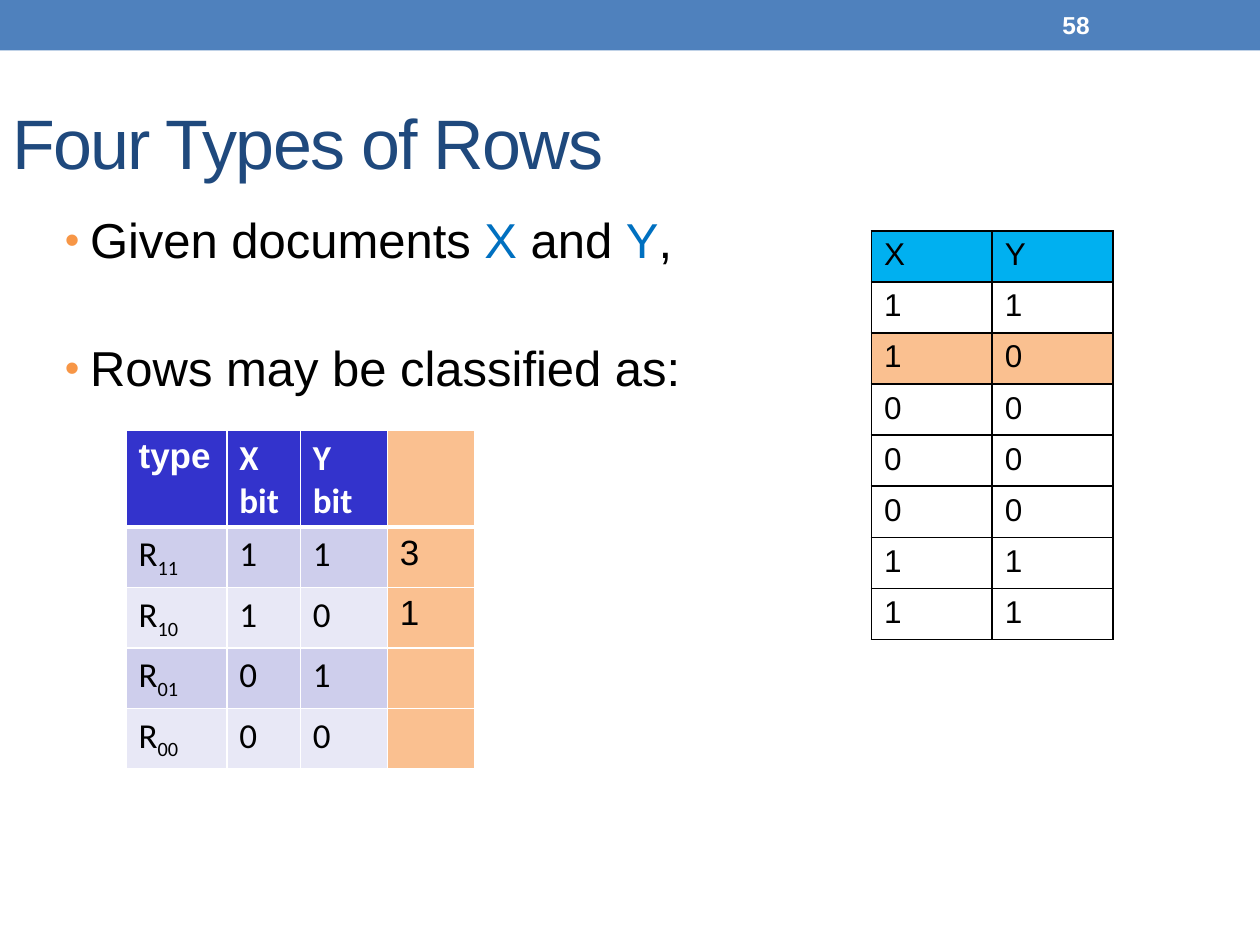
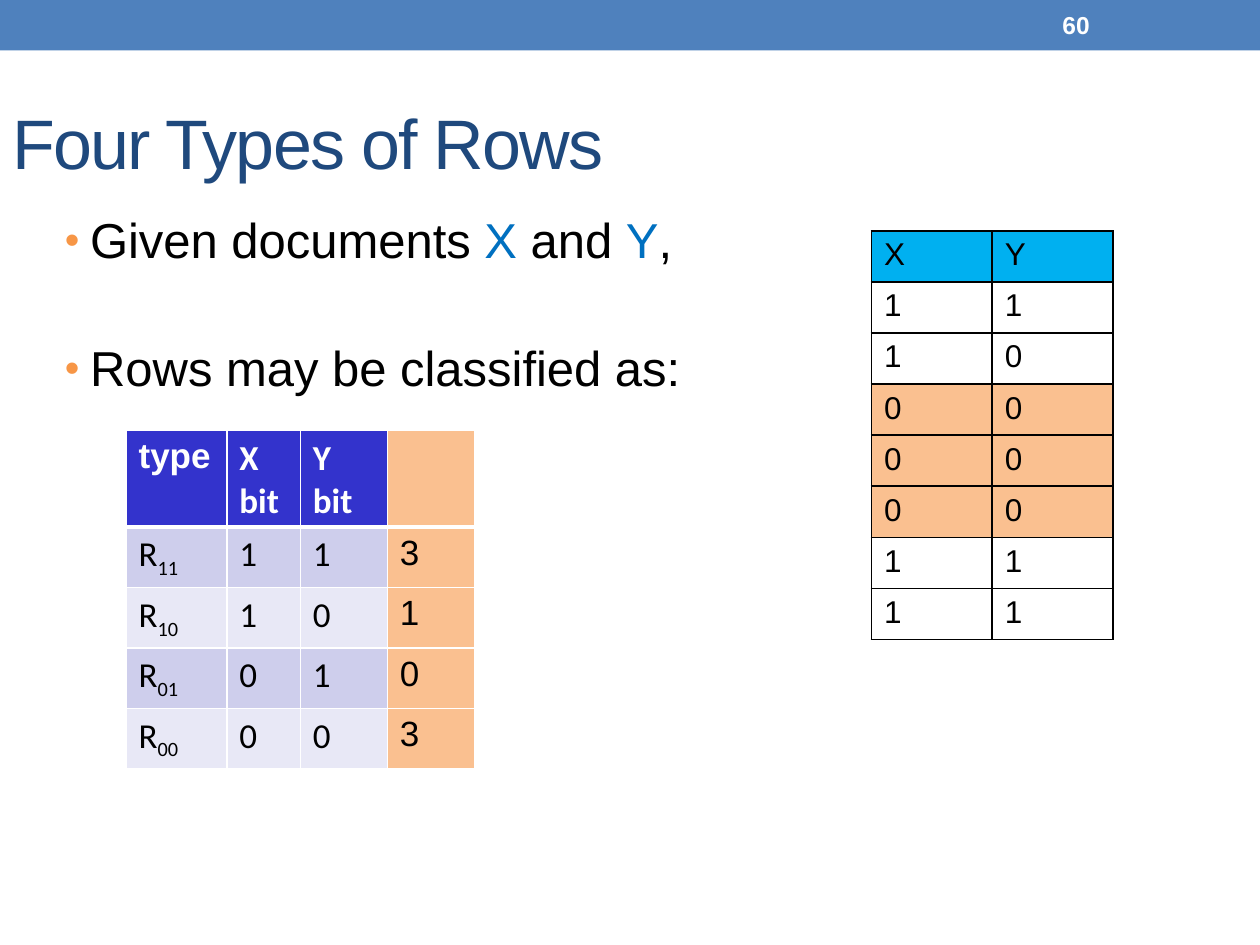
from lxml.etree import SubElement
from pptx import Presentation
from pptx.dml.color import RGBColor
from pptx.enum.shapes import MSO_SHAPE
from pptx.enum.text import MSO_ANCHOR
from pptx.oxml.ns import qn
from pptx.util import Inches, Pt

COLOURS = {
    "band": "4F81BD", "title": "1F497D", "text": "000000", "white": "FFFFFF",
    "variable": "0070C0", "bullet": "F79646", "type_head": "3333CC",
    "odd_row": "CECEEC", "even_row": "E8E8F6", "highlight": "FAC090",
    "doc_head": "00B0F0",
}

deck = Presentation()
deck.slide_width, deck.slide_height = Inches(10), Inches(7.5)
COL = deck.slide_width / 12   # grid of 12 square columns
ROW = deck.slide_height / 9   # by 9 rows

# Content of the two tables
TYPE_HEAD = ["type", "X bit", "Y bit", ""]
TYPE_BITS = ["11", "10", "01", "00"]
TYPE_WIDTHS = [0.96, 0.7, 0.83, 0.83]
DOCUMENT_ROWS = ["XY", "11", "10", "00", "00", "00", "11", "11"]

# Page number, counts per type, highlighted document rows
PAGES = [
    ("58", ["3", "1", "", ""], {2}),
    ("60", ["3", "1", "0", "3"], {3, 4, 5}),
]

# Body lines as (text, colour) pieces
BODY = [
    [("Given documents ", "text"), ("X", "variable"), (" and ", "text"),
     ("Y", "variable"), (",", "text")],
    [("Rows may be classified as:", "text")],
]


def add_run(paragraph, text, size, colour, font="Arial", bold=False, **extra):
    run = paragraph.add_run()
    run.text = text
    run.font.size, run.font.name, run.font.bold = Pt(size), font, bold
    run.font.color.rgb = RGBColor.from_string(COLOURS[colour])
    for attribute, value in extra.items():
        run._r.get_or_add_rPr().set(attribute, value)


def style_cell(cell, fill, border, top=1, bottom=1):
    properties = cell._tc.get_or_add_tcPr()
    for side, points in (("L", 1), ("R", 1), ("T", top), ("B", bottom)):
        line = SubElement(properties, qn(f"a:ln{side}"), w=str(Pt(points)))
        solid = SubElement(line, qn("a:solidFill"))
        SubElement(solid, qn("a:srgbClr"), val=COLOURS[border])
    if fill:
        cell.fill.solid()
        cell.fill.fore_color.rgb = RGBColor.from_string(COLOURS[fill])
    else:
        cell.fill.background()


for page, counts, highlighted in PAGES:
    slide = deck.slides.add_slide(deck.slide_layouts[6])

    # Top band
    band = slide.shapes.add_shape(MSO_SHAPE.RECTANGLE, 0, 0, deck.slide_width, int(0.48 * ROW))
    band.shadow.inherit = False
    band.fill.solid()
    band.fill.fore_color.rgb = RGBColor.from_string(COLOURS["band"])
    band.line.fill.background()

    # Page number, title and body frames
    frames = []
    for left, top, width, height, anchor in [
        (10, 0.02, 1.4, 0.44, MSO_ANCHOR.MIDDLE),
        (0, 0.6, 12, 1.5, MSO_ANCHOR.MIDDLE),
        (0.5, 2, 10.6, 6.2, MSO_ANCHOR.TOP),
    ]:
        box = slide.shapes.add_textbox(int(left * COL), int(top * ROW), int(width * COL), int(height * ROW))
        box.text_frame.word_wrap = True
        box.text_frame.vertical_anchor = anchor
        frames.append(box.text_frame)
    number, title, body = frames
    add_run(number.paragraphs[0], page, 14, "white", bold=True)
    add_run(title.paragraphs[0], "Four Types of Rows", 40, "title", spc="-100")

    # Bulleted body
    for index, pieces in enumerate(BODY):
        line = body.add_paragraph() if index else body.paragraphs[0]
        properties = line._p.get_or_add_pPr()
        properties.set("marL", str(Inches(0.2)))
        properties.set("indent", str(-Inches(0.2)))
        bullet_colour = SubElement(properties, qn("a:buClr"))
        SubElement(bullet_colour, qn("a:srgbClr"), val=COLOURS["bullet"])
        SubElement(properties, qn("a:buSzPct"), val="85000")
        SubElement(properties, qn("a:buFont"), typeface="Arial")
        SubElement(properties, qn("a:buChar"), char="•")
        line.line_spacing = 0.9
        if index:
            line.space_before = Pt(43)
        for text, colour in pieces:
            add_run(line, text, 28, colour)

    # Row types and their counts
    types = slide.shapes.add_table(5, 4, int(1.2 * COL), int(4.1 * ROW), int(3.32 * COL), int(3.2 * ROW)).table
    types.first_row = types.horz_banding = False
    for column, width in zip(types.columns, TYPE_WIDTHS):
        column.width = int(width * COL)
    for r, row in enumerate(types.rows):
        row.height = int((0.57 if r else 0.92) * ROW)
        values = ["R", *TYPE_BITS[r - 1], counts[r - 1]] if r else TYPE_HEAD
        row_fill = ("odd_row" if r % 2 else "even_row") if r else "type_head"
        for c, value in enumerate(values):
            cell = types.cell(r, c)
            style_cell(cell, "highlight" if c == 3 else row_fill, "white",
                       top=3 if r == 1 else 1, bottom=1 if r else 3)
            label = cell.text_frame.paragraphs[0]
            font = "Arial" if c == 3 or (r, c) == (0, 0) else "Calibri"
            if value:
                add_run(label, value, 20, "text" if r else "white", font, bold=r == 0)
            if value == "R":
                add_run(label, TYPE_BITS[r - 1], 20, "text", font, baseline="-25000")

    # Documents X and Y
    documents = slide.shapes.add_table(len(DOCUMENT_ROWS), 2, int(8.3 * COL), int(2.2 * ROW),
                                       int(2.3 * COL), int(3.89 * ROW)).table
    documents.first_row = documents.horz_banding = False
    for r, values in enumerate(DOCUMENT_ROWS):
        fill = "doc_head" if r == 0 else "highlight" if r in highlighted else None
        for c, value in enumerate(values):
            cell = documents.cell(r, c)
            style_cell(cell, fill, "text")
            add_run(cell.text_frame.paragraphs[0], value, 18, "text")

deck.save("out.pptx")
